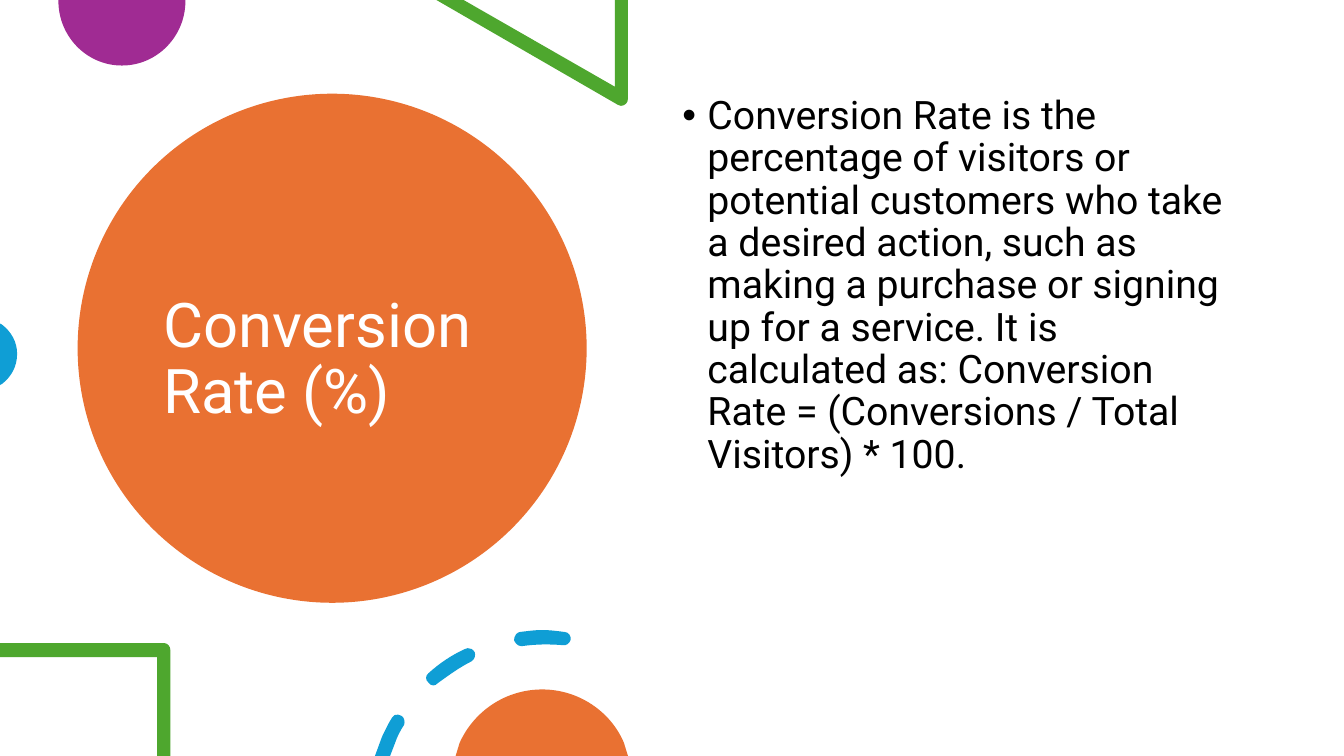
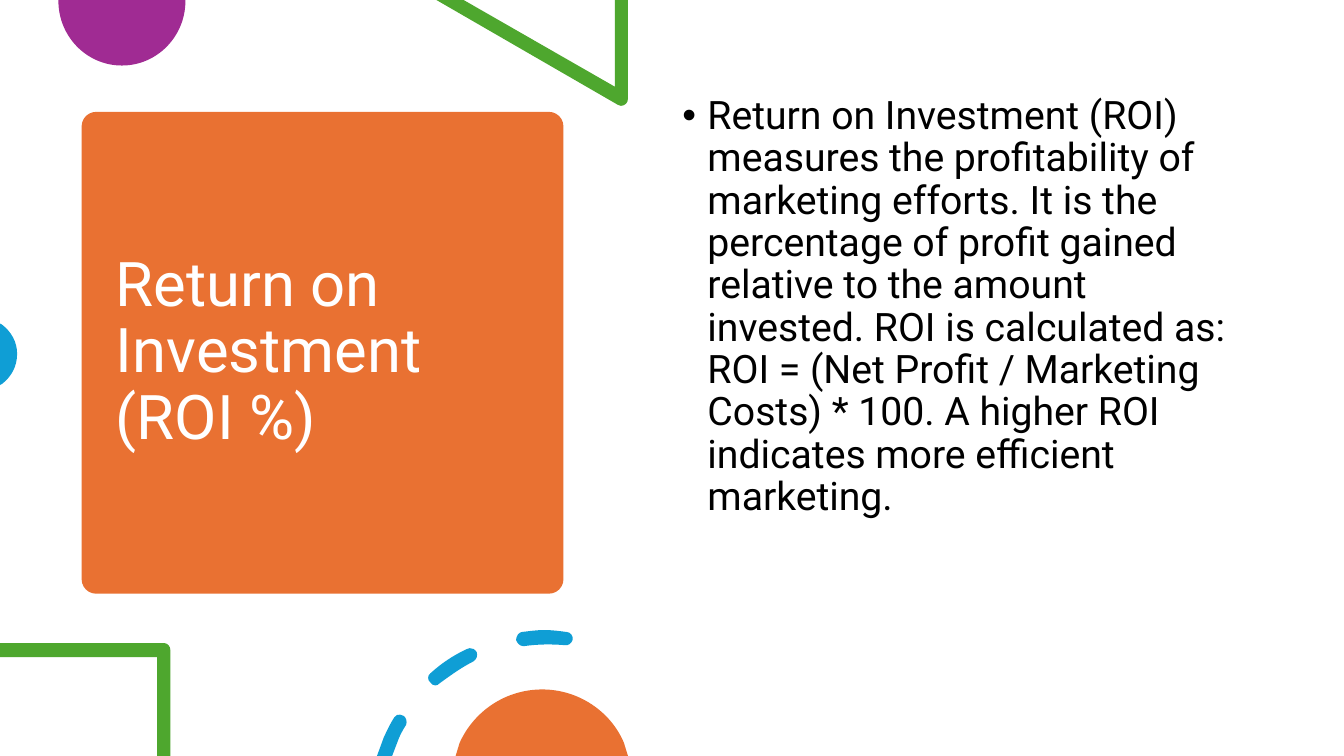
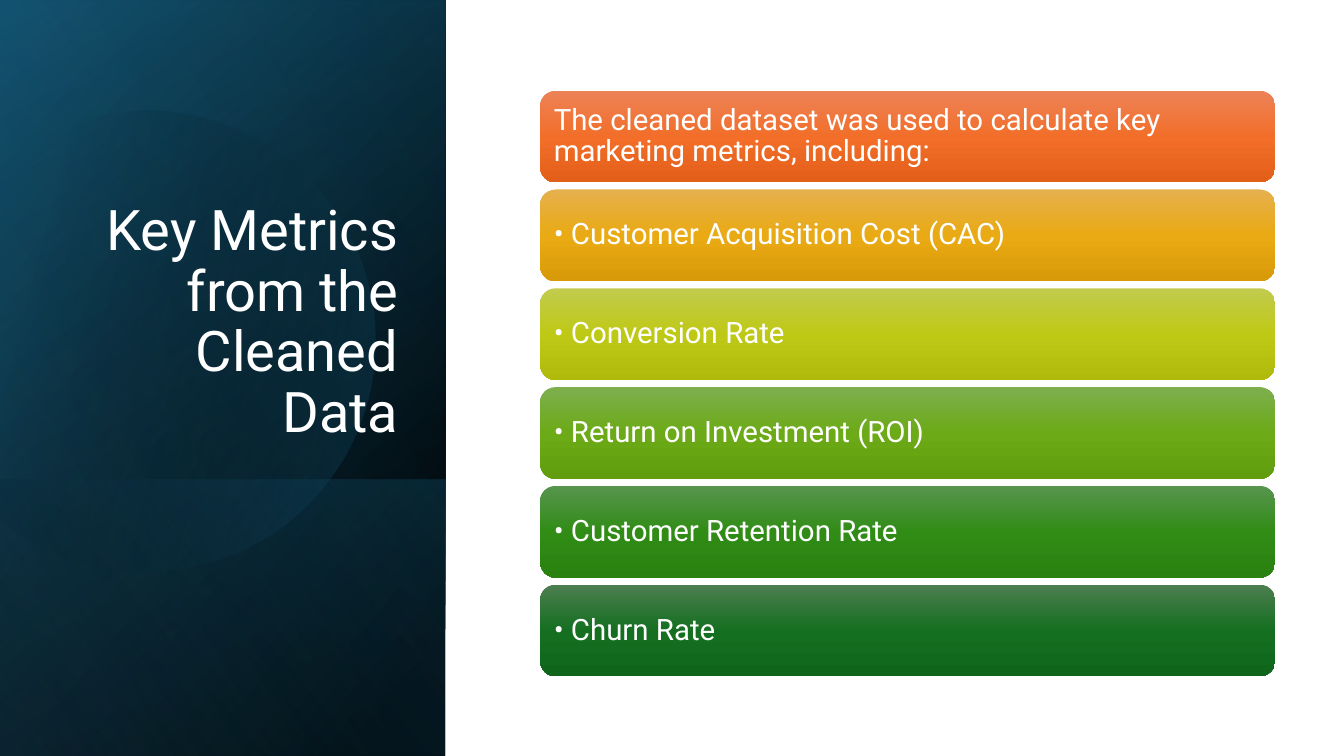
import math
from dataclasses import dataclass
from typing import NamedTuple

import lxml.etree
import pptx
import pptx.dml.color
import pptx.enum.shapes
import pptx.enum.text
import pptx.oxml
import pptx.oxml.ns
import pptx.util

Inches = pptx.util.Inches
Pt = pptx.util.Pt
Kind = pptx.enum.shapes.MSO_SHAPE
Align = pptx.enum.text.PP_ALIGN
Anchor = pptx.enum.text.MSO_ANCHOR
qn = pptx.oxml.ns.qn
Point = tuple[float, float]


@dataclass(frozen=True)
class Theme:
    font: str = "Roboto"
    white: str = "FFFFFF"
    black: str = "000000"
    orange: str = "E97132"
    purple: str = "A02B93"
    green: str = "4EA72E"
    blue: str = "0F9ED5"
    navy: str = "104862"
    teal: str = "156082"
    sky: str = "46B1E1"
    head: int = 44
    side: int = 40
    body: int = 28
    card: int = 21
    lead: float = 0.9


THEME = Theme()


class Box(NamedTuple):
    left: float
    top: float
    width: float
    height: float


class Stop(NamedTuple):
    pos: int
    color: str
    alpha: int = 100


class Grad(NamedTuple):
    stops: tuple[Stop, ...]
    angle: int


class Metric(NamedTuple):
    title: str
    text: str
    kind: Kind
    badge: Box
    head: Box
    shift: float


class Piece(NamedTuple):
    outline: str
    color: str


class Panel(NamedTuple):
    box: Box
    grad: Grad


class Card(NamedTuple):
    text: str
    colors: tuple[str, str, str]


# Outlines in inches: M move, L line, C cubic curve, Z close
TOP = (
    Piece("M 1.84 0 L 0.58 0 L 0.58 0.01 C 0.58 0.36 0.86 0.65 1.21 0.65 "
          "C 1.56 0.65 1.84 0.36 1.84 0.01 Z", THEME.purple),
    Piece("M 6.23 0 L 6.1 0 L 6.1 0.86 L 4.6 0 L 4.33 0 L 6.13 1.04 "
          "C 6.14 1.05 6.15 1.05 6.16 1.05 C 6.2 1.05 6.23 1.02 6.23 0.98 Z",
          THEME.green),
    Piece("M 0 3.21 L 0 3.82 L 0.02 3.81 C 0.11 3.74 0.17 3.64 0.17 3.51 "
          "C 0.17 3.39 0.11 3.29 0.02 3.22 Z", THEME.blue),
)
FRAME = Piece("M 1.63 6.38 L 0 6.38 L 0 6.52 L 1.56 6.52 L 1.56 7.5 L 1.69 7.5 "
              "L 1.69 6.45 C 1.69 6.41 1.66 6.38 1.63 6.38 Z", THEME.green)
DASHES = Piece(
    "M 3.95 7.09 C 3.93 7.08 3.9 7.1 3.89 7.12 C 3.85 7.18 3.82 7.25 3.79 7.31 "
    "L 3.72 7.5 L 3.87 7.5 L 3.92 7.37 C 3.94 7.31 3.97 7.25 4.01 7.19 "
    "C 4.02 7.16 4.01 7.11 3.98 7.1 C 3.97 7.09 3.96 7.09 3.95 7.09 Z "
    "M 4.64 6.43 C 4.63 6.43 4.62 6.43 4.61 6.44 C 4.48 6.5 4.36 6.58 4.25 6.68 "
    "C 4.22 6.7 4.22 6.75 4.25 6.77 C 4.26 6.79 4.28 6.8 4.3 6.8 L 4.3 6.8 "
    "C 4.32 6.8 4.33 6.79 4.34 6.78 C 4.45 6.7 4.56 6.62 4.68 6.56 "
    "C 4.71 6.54 4.72 6.5 4.71 6.47 C 4.69 6.44 4.67 6.43 4.64 6.43 Z "
    "M 5.38 6.25 C 5.31 6.25 5.24 6.26 5.16 6.27 C 5.13 6.27 5.1 6.31 5.1 6.35 "
    "C 5.11 6.38 5.14 6.41 5.17 6.41 C 5.18 6.41 5.18 6.41 5.18 6.41 "
    "C 5.32 6.39 5.45 6.39 5.58 6.4 C 5.62 6.41 5.65 6.38 5.66 6.35 "
    "C 5.67 6.31 5.64 6.27 5.6 6.27 C 5.6 6.27 5.6 6.27 5.6 6.27 "
    "C 5.53 6.26 5.45 6.25 5.38 6.25 Z", THEME.blue)
DOME = Piece("M 5.38 6.84 C 5.01 6.84 4.7 7.06 4.56 7.37 L 4.52 7.5 L 6.23 7.5 "
             "L 6.19 7.37 C 6.06 7.06 5.74 6.84 5.38 6.84 Z", THEME.orange)
GLOBE = ("M 1.49 1.1 C 2.46 1.12 3.35 1.77 3.63 2.75 C 3.98 3.97 3.28 5.23 2.07 5.58 "
         "C 1.31 5.8 0.53 5.61 -0.03 5.14 L -0.15 5.03 L -0.15 1.75 L 0 1.61 "
         "C 0.23 1.42 0.5 1.28 0.8 1.19 C 1.03 1.13 1.26 1.1 1.49 1.1 Z")
HUB = (1.59, 3.35)
TILT = -16.1

METRICS = (
    Metric("Conversion Rate (%)",
           "Conversion Rate is the percentage of visitors or potential customers who "
           "take a desired action, such as making a purchase or signing up for a "
           "service. It is calculated as: Conversion Rate = (Conversions / Total "
           "Visitors) * 100.",
           Kind.OVAL, Box(0.77, 0.93, 5.05, 5.05), Box(1.52, 1.35, 3.54, 4.45), 0),
    Metric("Return on Investment (ROI %)",
           "Return on Investment (ROI) measures the profitability of marketing "
           "efforts. It is the percentage of profit gained relative to the amount "
           "invested. ROI is calculated as: ROI = (Net Profit / Marketing Costs) * "
           "100. A higher ROI indicates more efficient marketing.",
           Kind.ROUNDED_RECTANGLE, Box(0.81, 1.11, 4.78, 4.78),
           Box(1.05, 1.22, 4.31, 4.56), 0.02),
)

SIDE = Box(-1.54, 1.54, 7.5, 4.42)
PANELS = (
    Panel(SIDE, Grad((Stop(8, THEME.black), Stop(100, THEME.navy)), 50)),
    Panel(SIDE._replace(top=1.55),
          Grad((Stop(0, THEME.black, 0), Stop(99, THEME.teal, 46)), 30)),
    Panel(Box(0.84, 3.92, 2.74, 4.42),
          Grad((Stop(2, THEME.teal, 29), Stop(100, THEME.black, 30)), 130)),
)
GLOW = Grad((Stop(29, THEME.black, 0), Stop(100, THEME.teal, 43)), 30)
SHEEN = Panel(SIDE, Grad((Stop(0, THEME.black, 0), Stop(99, THEME.sky, 11)), 120))

CARDS = (
    Card("The cleaned dataset was used to calculate key marketing metrics, including:",
         ("ED8257", "F26E29", "E25F1A")),
    Card("• Customer Acquisition Cost (CAC)", ("E6B04E", "E9AA13", "D89A09")),
    Card("• Conversion Rate", ("C2CB4E", "BEC916", "AFBA0C")),
    Card("• Return on Investment (ROI)", ("7DAF4E", "6CAA17", "619D0E")),
    Card("• Customer Retention Rate", ("57954E", "318C16", "29810F")),
    Card("• Churn Rate", ("4D7E50", "156F21", "0F661B")),
)
FIRST = Box(5.36, 0.9, 7.29, 0.91)
PITCH = 0.98


def rgb(color: str) -> pptx.dml.color.RGBColor:
    return pptx.dml.color.RGBColor.from_string(color)


def paint(shape, fill: str | Grad) -> None:
    """Fill a shape with a colour or gradient, without line or shadow."""
    shape.shadow.inherit = False
    shape.line.fill.background()
    if isinstance(fill, str):
        shape.fill.solid()
        shape.fill.fore_color.rgb = rgb(fill)
        return
    shape.fill.background()
    blank = shape.element.spPr.find(qn("a:noFill"))
    grad = lxml.etree.Element(qn("a:gradFill"), rotWithShape="1")
    stops = lxml.etree.SubElement(grad, qn("a:gsLst"))
    for stop in fill.stops:
        mark = lxml.etree.SubElement(stops, qn("a:gs"), pos=str(stop.pos * 1000))
        color = lxml.etree.SubElement(mark, qn("a:srgbClr"), val=stop.color)
        if stop.alpha < 100:
            lxml.etree.SubElement(color, qn("a:alpha"), val=str(stop.alpha * 1000))
    lxml.etree.SubElement(grad, qn("a:lin"), ang=str(fill.angle * 60000), scaled="0")
    blank.getparent().replace(blank, grad)


def add(slide, kind: Kind, box: Box, fill: str | Grad):
    shape = slide.shapes.add_shape(kind, *map(Inches, box))
    paint(shape, fill)
    return shape


def trace(outline: str) -> list[list[list[Point]]]:
    """Split an outline into rings of steps; a curve's step holds three points."""
    rings = []
    words = iter(outline.split())
    for word in words:
        if word == "Z":
            continue
        if word == "M":
            rings.append([])
        count = 3 if word == "C" else 1
        rings[-1].append([(float(next(words)), float(next(words)))
                          for _ in range(count)])
    return rings


def turn(point: Point, angle: float) -> Point:
    """Turn a point clockwise about the hub."""
    x, y = point[0] - HUB[0], point[1] - HUB[1]
    cos, sin = math.cos(math.radians(angle)), math.sin(math.radians(angle))
    return HUB[0] + x * cos - y * sin, HUB[1] + x * sin + y * cos


def bend(shape, steps: list[list[tuple[int, int]]]) -> None:
    """Make real curves of the line segments whose step has three points."""
    lines = list(shape.element.spPr.iter(qn("a:lnTo")))
    for line, step in zip(lines, steps):
        if len(step) < 3:
            continue
        curve = lxml.etree.Element(qn("a:cubicBezTo"))
        for x, y in step:
            lxml.etree.SubElement(curve, qn("a:pt"), x=str(x - shape.left),
                                  y=str(y - shape.top))
        line.getparent().replace(line, curve)


def draw(slide, outline: str, fill: str | Grad, shift: float = 0,
         tilt: float = 0) -> None:
    """Draw an outline; a tilted one is set upright, then rotated into place."""
    pen = None
    steps = []
    for ring in trace(outline):
        spots = [[(Inches(x + shift), Inches(y))
                  for x, y in (turn(point, -tilt) for point in step)]
                 for step in ring]
        start = spots[0][0]
        if pen is None:
            pen = slide.shapes.build_freeform(*start)
        else:
            pen.move_to(*start)
        pen.add_line_segments([step[-1] for step in spots[1:]], close=True)
        steps += spots[1:]
    shape = pen.convert_to_shape()
    bend(shape, steps)
    shape.rotation = tilt
    paint(shape, fill)


def write(shape, text: str, size: int, color: str, anchor: Anchor,
          align: Align = Align.LEFT):
    """Put one paragraph in a shape and return the paragraph."""
    frame = shape.text_frame
    frame.word_wrap = True
    frame.auto_size = pptx.enum.text.MSO_AUTO_SIZE.NONE
    frame.vertical_anchor = anchor
    para = frame.paragraphs[0]
    para.alignment = align
    para.line_spacing = THEME.lead
    para.space_before = Pt(0)
    run = para.add_run()
    run.text = text
    run.font.name = THEME.font
    run.font.size = Pt(size)
    run.font.color.rgb = rgb(color)
    return para


def name(slide, text: str, box: Box, size: int, anchor: Anchor,
         align: Align = Align.LEFT) -> None:
    """Place the title above what has been drawn so far."""
    title = slide.shapes.title
    title.left, title.top, title.width, title.height = map(Inches, box)
    title.element.getparent().append(title.element)
    write(title, text, size, THEME.white, anchor, align)


def bullet(para) -> None:
    props = para._p.get_or_add_pPr()
    props.set("marL", str(Inches(0.25)))
    props.set("indent", str(-Inches(0.25)))
    lxml.etree.SubElement(props, qn("a:buFont"), typeface="Arial")
    lxml.etree.SubElement(props, qn("a:buChar"), char="•")


def explain(slide, metric: Metric) -> None:
    badge = add(slide, metric.kind, metric.badge, THEME.orange)
    if metric.kind == Kind.ROUNDED_RECTANGLE:
        badge.adjustments[0] = 0.03
    name(slide, metric.title, metric.head, THEME.head, Anchor.MIDDLE)
    for piece in TOP:
        draw(slide, *piece)
    body = slide.shapes.add_textbox(*map(Inches, Box(6.67, 0.9, 5.75, 5.35)))
    para = write(body, metric.text, THEME.body, THEME.black, Anchor.TOP)
    para.space_before = Pt(10)
    bullet(para)
    draw(slide, *FRAME)
    draw(slide, *DASHES, shift=metric.shift)
    draw(slide, *DOME)


def lay(slide, panel: Panel) -> None:
    """Lay a mirrored panel on its side."""
    shape = add(slide, Kind.RECTANGLE, *panel)
    shape.rotation = 90
    shape.element.spPr.find(qn("a:xfrm")).set("flipH", "1")


def summarize(slide) -> None:
    for panel in PANELS:
        lay(slide, panel)
    draw(slide, GLOBE, GLOW, tilt=TILT)
    lay(slide, SHEEN)
    name(slide, "Key Metrics from the Cleaned Data", Box(0.64, 1.84, 3.41, 2.62),
         THEME.side, Anchor.BOTTOM, Align.RIGHT)
    for row, card in enumerate(CARDS):
        stops = tuple(Stop(pos, color) for pos, color in zip((0, 50, 100), card.colors))
        box = FIRST._replace(top=FIRST.top + row * PITCH)
        shape = add(slide, Kind.ROUNDED_RECTANGLE, box, Grad(stops, 90))
        frame = shape.text_frame
        frame.margin_left = frame.margin_right = Inches(0.09)
        frame.margin_top = frame.margin_bottom = Inches(0.09)
        write(shape, card.text, THEME.card, THEME.white, Anchor.MIDDLE)


def main() -> None:
    deck = pptx.Presentation()
    deck.slide_width, deck.slide_height = Inches(40 / 3), Inches(7.5)
    layout = deck.slide_layouts.get_by_name("Title Only")
    for metric in METRICS:
        explain(deck.slides.add_slide(layout), metric)
    summarize(deck.slides.add_slide(layout))
    deck.save("out.pptx")


if __name__ == "__main__":
    main()
